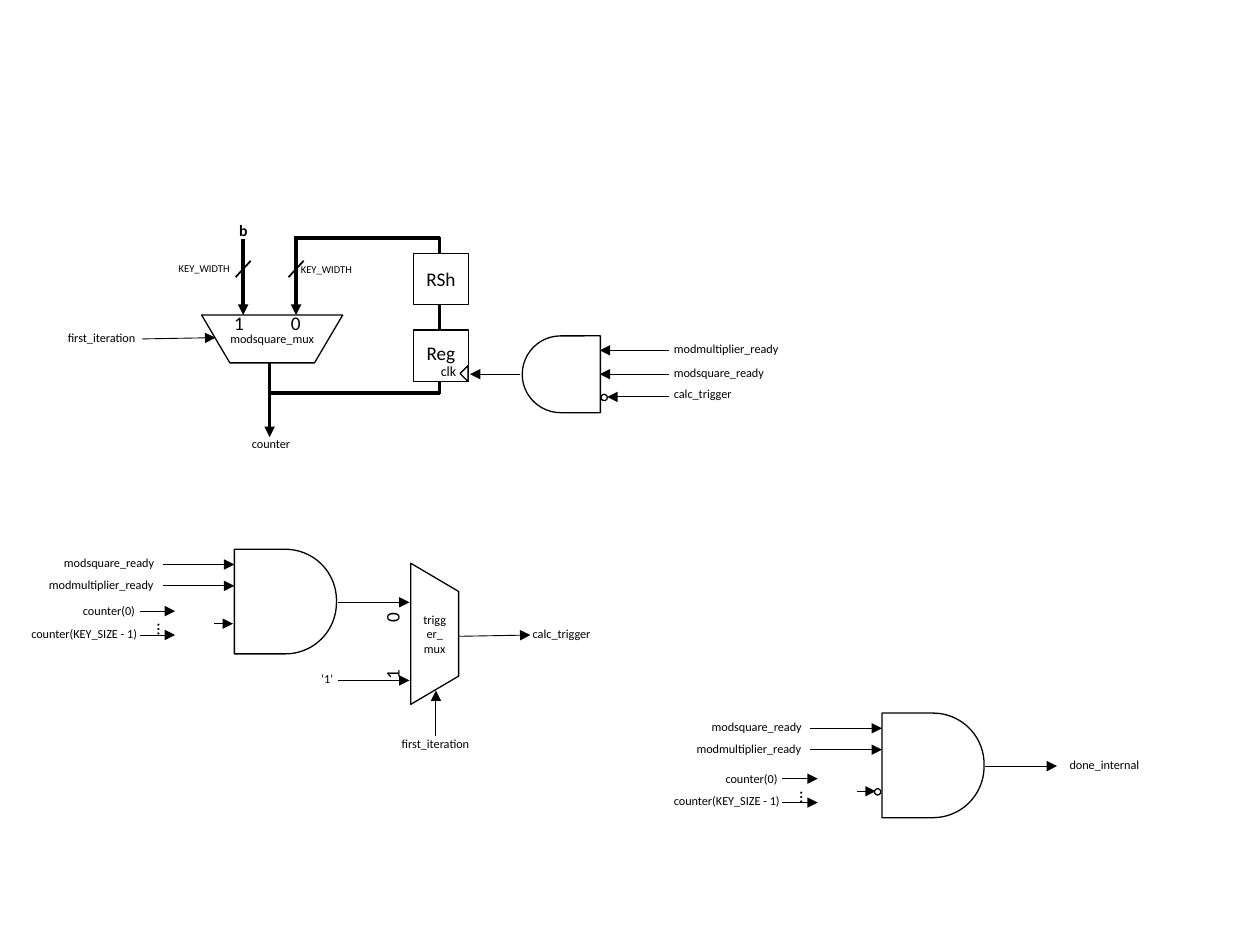
"""Build a slide of multiplexer, register and gate logic diagrams."""
from lxml.etree import SubElement
from pptx import Presentation
from pptx.dml.color import RGBColor
from pptx.enum.shapes import MSO_CONNECTOR, MSO_SHAPE
from pptx.enum.text import MSO_ANCHOR, MSO_AUTO_SIZE, PP_ALIGN
from pptx.oxml.ns import qn
from pptx.util import Inches, Pt

FONT = "Calibri"
BLACK, WHITE = "000000", "FFFFFF"
THIN, BUS = 0.5, 2


def color(value):
    """Return the colour for a hex string."""
    return RGBColor.from_string(value)


def add_run(p, text, size, bold=None):
    """Add one formatted run to a paragraph."""
    r = p.add_run()
    r.text = text
    r.font.name = FONT
    r.font.size = Pt(size)
    r.font.bold = bold
    r.font.color.rgb = color(BLACK)


def set_vertical(sp):
    """Turn the text of a shape by a quarter turn."""
    sp.element.txBody.find(qn("a:bodyPr")).set("vert", "vert")


def add_label(s, x, y, w, h, text, size=7, bold=None, wrap=False):
    """Add a left-aligned text box."""
    sp = s.shapes.add_textbox(Inches(x), Inches(y), Inches(w), Inches(h))
    tf = sp.text_frame
    tf.word_wrap = wrap
    tf.auto_size = MSO_AUTO_SIZE.SHAPE_TO_FIT_TEXT
    add_run(tf.paragraphs[0], text, size, bold)
    return sp


def add_line(s, x1, y1, x2, y2, width=THIN, arrow=True):
    """Add a straight line, with an arrowhead at its end if wanted."""
    sp = s.shapes.add_connector(MSO_CONNECTOR.STRAIGHT, Inches(x1), Inches(y1),
                                Inches(x2), Inches(y2))
    sp.line.color.rgb = color(BLACK)
    sp.line.width = Pt(width)
    if arrow:
        SubElement(sp.line._get_or_add_ln(), qn("a:tailEnd"), type="triangle")
    SubElement(sp.element.spPr, qn("a:effectLst"))


def add_block(s, kind, x, y, w, h, text=None, size=7, rotation=0):
    """Add a white outlined shape with optional centred text."""
    sp = s.shapes.add_shape(kind, Inches(x), Inches(y), Inches(w), Inches(h))
    sp.shadow.inherit = False
    sp.rotation = rotation
    sp.fill.solid()
    sp.fill.fore_color.rgb = color(WHITE)
    sp.line.color.rgb = color(BLACK)
    sp.line.width = Pt(0.75)
    if text:
        tf = sp.text_frame
        tf.word_wrap = True
        tf.vertical_anchor = MSO_ANCHOR.MIDDLE
        tf.paragraphs[0].alignment = PP_ALIGN.CENTER
        add_run(tf.paragraphs[0], text, size)
    return sp


def add_gate(s, x, y, w, h, rotation):
    """Add an AND gate body."""
    sp = add_block(s, MSO_SHAPE.ROUND_2_SAME_RECTANGLE, x, y, w, h, rotation=rotation)
    sp.adjustments[0] = 0.5
    sp.adjustments[1] = 0


def add_bubble(s, x, y):
    """Add an inverting input circle."""
    add_block(s, MSO_SHAPE.OVAL, x, y, 0.05, 0.05)


def add_mux(s, x, y, text, rotation=0):
    """Add a multiplexer body with its name."""
    sp = add_block(s, MSO_SHAPE.FLOWCHART_MANUAL_OPERATION, x, y, 1.12, 0.38,
                   text, rotation=rotation)
    sp.text_frame.margin_left = sp.text_frame.margin_right = 0
    return sp


def add_mux_inputs(s, x, y, rotation=0):
    """Add the input numbers of a multiplexer, spaced by a tab stop."""
    sp = add_label(s, x, y, 0.85, 0.29, "1\t0", 11, wrap=True)
    sp.rotation = rotation
    tabs = SubElement(sp.text_frame.paragraphs[0]._p.get_or_add_pPr(), qn("a:tabLst"))
    SubElement(tabs, qn("a:tab"), pos=str(Inches(0.45)), algn="l")


def add_bus(s, x, label_x, label_y):
    """Add a wide input arrow with its slash and width label."""
    add_line(s, x, 1.9, x, 2.5, BUS)
    add_line(s, x - 0.06, 2.2, x + 0.06, 2.07, 1, arrow=False)
    add_label(s, label_x, label_y, 0.63, 0.2, "KEY_WIDTH", 6, wrap=True)


def add_counter_bits(s, x, y):
    """Add the list of counter bits that feeds a gate."""
    add_line(s, x + 0.96, y + 0.11, x + 1.24, y + 0.11)
    add_label(s, x + 0.41, y, 0.65, 0.22, "counter(0)")
    add_line(s, x + 0.96, y + 0.3, x + 1.24, y + 0.3)
    set_vertical(add_label(s, x + 0.92, y + 0.11, 0.37, 0.2, "…", 10))
    add_label(s, x, y + 0.18, 1.06, 0.22, "counter(KEY_SIZE - 1)")
    add_line(s, x + 1.55, y + 0.21, x + 1.7, y + 0.21)


def add_ready_gate(s, x, y):
    """Add a gate with its two ready inputs and its output."""
    add_gate(s, x, y, 0.83, 0.81, 90)
    add_line(s, x - 0.56, y + 0.11, x + 0.01, y + 0.11)
    add_label(s, x - 1.44, y - 0.01, 0.93, 0.22, "modsquare_ready")
    add_line(s, x - 0.56, y + 0.28, x + 0.01, y + 0.28)
    add_label(s, x - 1.56, y + 0.16, 1.05, 0.22, "modmultiplier_ready")
    add_line(s, x + 0.83, y + 0.41, x + 1.4, y + 0.41)


def draw_counter(s):
    """Draw the counter loop with its multiplexer and registers."""
    add_mux(s, 1.6, 2.5, "modsquare_mux")
    add_line(s, 1.13, 2.69, 1.71, 2.68)
    add_label(s, 0.44, 2.57, 0.76, 0.22, "first_iteration")
    add_bus(s, 1.93, 1.32, 2.03)
    add_label(s, 1.8, 1.7, 0.27, 0.25, "b", 9, bold=True)
    add_line(s, 2.14, 2.88, 2.14, 3.47, BUS)
    add_bus(s, 2.35, 2.29, 2.04)
    add_label(s, 1.9, 3.41, 0.52, 0.22, "counter")
    add_line(s, 3.49, 3.12, 2.14, 3.12, BUS, arrow=False)
    add_line(s, 3.49, 1.88, 3.49, 3.13, BUS, arrow=False)
    add_line(s, 3.49, 1.89, 2.33, 1.89, BUS, arrow=False)
    reg = add_block(s, MSO_SHAPE.RECTANGLE, 3.28, 2.62, 0.44, 0.41, "Reg", 11)
    reg.text_frame.margin_top = 0
    add_block(s, MSO_SHAPE.RECTANGLE, 3.28, 2.01, 0.44, 0.41, "RSh", 11)
    add_block(s, MSO_SHAPE.RIGHT_TRIANGLE, 3.67, 2.92, 0.09, 0.09, rotation=45)
    add_label(s, 3.4, 2.83, 0.35, 0.24, "clk", 8, wrap=True)
    add_mux_inputs(s, 1.76, 2.42)


def draw_clock_gate(s):
    """Draw the gate that clocks the register."""
    add_line(s, 4.13, 2.97, 3.73, 2.97)
    add_gate(s, 4.15, 2.66, 0.61, 0.62, 270)
    inputs = [("modmultiplier_ready", 1.05, 2.66, 2.78, 4.76),
              ("modsquare_ready", 0.93, 2.85, 2.97, 4.76),
              ("calc_trigger", 0.67, 3.02, 3.15, 4.82)]
    for text, width, top, y, end in inputs:
        add_line(s, 5.31, y, end, y)
        add_label(s, 5.25, top, width, 0.22, text)
    add_bubble(s, 4.77, 3.13)


def draw_trigger(s):
    """Draw the trigger gate and multiplexer."""
    add_counter_bits(s, 0.15, 4.74)
    add_ready_gate(s, 1.85, 4.37)
    set_vertical(add_mux(s, 2.89, 4.84, "trigger_mux", 270))
    add_line(s, 2.68, 5.4, 3.25, 5.4)
    add_label(s, 2.45, 5.28, 0.3, 0.22, "‘1’")
    add_line(s, 3.64, 5.05, 4.21, 5.04)
    add_line(s, 3.46, 5.84, 3.46, 5.48)
    add_label(s, 3.09, 5.79, 0.76, 0.22, "first_iteration")
    add_label(s, 4.13, 4.92, 0.67, 0.22, "calc_trigger")
    add_mux_inputs(s, 2.69, 4.92, 270)


def draw_done(s):
    """Draw the gate for the done signal."""
    add_counter_bits(s, 5.25, 6.07)
    add_ready_gate(s, 6.99, 5.67)
    add_bubble(s, 6.94, 6.26)
    add_label(s, 8.39, 5.96, 0.77, 0.22, "done_internal")


def main():
    """Create and save the presentation."""
    prs = Presentation()
    prs.slide_width, prs.slide_height = Inches(10), Inches(7.5)
    s = prs.slides.add_slide(prs.slide_layouts[6])
    draw_counter(s)
    draw_clock_gate(s)
    draw_trigger(s)
    draw_done(s)
    prs.save("out.pptx")


if __name__ == "__main__":
    main()
